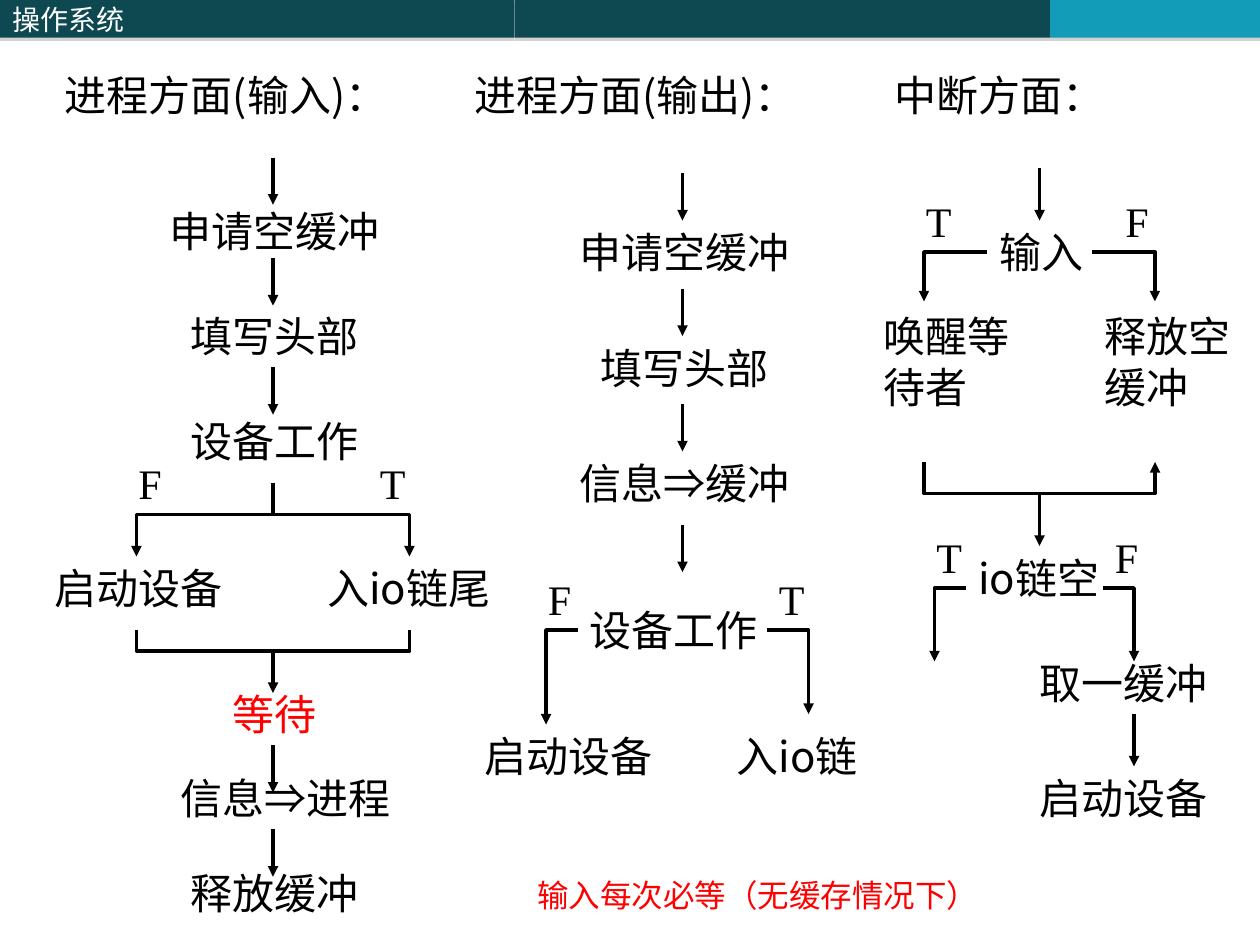
from lxml import etree
from pptx import Presentation
from pptx.dml.color import RGBColor
from pptx.enum.shapes import MSO_CONNECTOR, MSO_SHAPE
from pptx.enum.text import MSO_ANCHOR, MSO_AUTO_SIZE, PP_ALIGN
from pptx.oxml.ns import qn
from pptx.util import Cm, Pt

RECTANGLE = MSO_SHAPE.RECTANGLE
STRAIGHT = MSO_CONNECTOR.STRAIGHT
MIDDLE = MSO_ANCHOR.MIDDLE
GROW = MSO_AUTO_SIZE.SHAPE_TO_FIT_TEXT
LEFT = PP_ALIGN.LEFT

BLACK = RGBColor(0, 0, 0)
WHITE = RGBColor(0xFF, 0xFF, 0xFF)
RED = RGBColor(0xFF, 0, 0)
DARK_TEAL = RGBColor(0x0E, 0x48, 0x51)
BRIGHT_TEAL = RGBColor(0x13, 0x9C, 0xB7)

CHINESE = "Noto Sans CJK SC"
SYMBOL = "Arial"
SERIF = "Times New Roman"
IMPLIES = "⇒"
STEP = 4.5  # usual arrow length in grid units


def grid(units):
    """Twelve grid units make 2.54 cm; the slide is 120 by 90 units."""
    return Cm(units * 2.54 / 12)


def add_span(para, text, size, color, font):
    span = para.add_run()
    span.text = text
    span.font.size = Pt(size)
    span.font.color.rgb = color
    span.font.name = font
    east_asian = etree.SubElement(span.font._element, qn("a:ea"))
    east_asian.set("typeface", font)


def add_label(page, box, text, x, y, width, height=6, size=24, color=BLACK, font=CHINESE):
    left, top = box
    label = page.shapes.add_textbox(
        grid(left + x), grid(top + y), grid(width), grid(height))
    frame = label.text_frame
    frame.word_wrap = True
    frame.auto_size = GROW
    for part in filter(None, text.partition(IMPLIES)):
        add_span(frame.paragraphs[0], part, size, color,
                 SYMBOL if part == IMPLIES else font)


def add_branch_mark(page, box, text, x, y):
    add_label(page, box, text, x, y, 5, font=SERIF)


def style_line(shape, arrow):
    shape.line.color.rgb = BLACK
    shape.line.width = Pt(2)
    properties = shape._element.spPr
    if arrow:
        etree.SubElement(properties.find(qn("a:ln")), qn("a:tailEnd")).set("type", "triangle")
    etree.SubElement(properties, qn("a:effectLst"))


def add_arrow(page, box, x, y, length=STEP):
    left, top = box
    line = page.shapes.add_connector(
        STRAIGHT, grid(left + x), grid(top + y), grid(left + x), grid(top + y + length))
    style_line(line, arrow=True)


def add_bent_line(page, box, points, arrow=True):
    left, top = box
    start, *others = [(grid(left + x), grid(top + y)) for x, y in points]
    builder = page.shapes.build_freeform(*start)
    builder.add_line_segments(others, close=False)
    bent = builder.convert_to_shape()
    bent.fill.background()
    style_line(bent, arrow)


def add_header(page, box, title):
    left, top = box
    for x, width, color, text in [(0, 49, DARK_TEAL, title),
                                  (49, 51, DARK_TEAL, ""),
                                  (100, 20, BRIGHT_TEAL, "")]:
        bar = page.shapes.add_shape(
            RECTANGLE, grid(left + x), grid(top), grid(width), grid(3.6))
        bar.fill.solid()
        bar.fill.fore_color.rgb = color
        bar.line.fill.background()
        bar.shadow.inherit = False
        # Soft edge below the bar
        effects = bar._element.spPr.find(qn("a:effectLst"))
        shadow = etree.SubElement(effects, qn("a:outerShdw"), blurRad="0",
                                  dist=str(Pt(1.8)), dir="5400000", rotWithShape="0")
        tint = etree.SubElement(shadow, qn("a:srgbClr"), val="808080")
        etree.SubElement(tint, qn("a:alpha"), val="35000")
        if text:
            frame = bar.text_frame
            frame.vertical_anchor = MIDDLE
            frame.paragraphs[0].alignment = LEFT
            add_span(frame.paragraphs[0], text, 16, WHITE, CHINESE)


def add_input_flow(page, box):
    axis, left_arm, right_arm = 26, 13, 39
    # Steps
    for text, x, y, width in [("进程方面(输入)：", 5, 0, 35),
                              ("申请空缓冲", 15, 13, 24),
                              ("填写头部", 17, 23, 21),
                              ("设备工作", 17, 33, 20),
                              ("入io链尾", 30, 47, 20),
                              ("启动设备", 4, 47, 20),
                              ("信息⇒进程", 16, 67, 23),
                              ("释放缓冲", 17, 76, 19)]:
        add_label(page, box, text, x, y, width)
    add_label(page, box, "等待", 21, 59, 13, color=RED)
    # Arrows
    for y in (9, 18.6, 29, 65, 73):
        add_arrow(page, box, axis, y)
    add_arrow(page, box, axis, 56, 4)
    # Branch and join
    for arm in (right_arm, left_arm):
        add_bent_line(page, box, [(axis, 40), (axis, 43), (arm, 43), (arm, 47)])
    add_bent_line(page, box, [(left_arm, 54), (left_arm, 56),
                              (right_arm, 56), (right_arm, 54)], arrow=False)
    add_branch_mark(page, box, "F", 12, 37)
    add_branch_mark(page, box, "T", 35, 37)


def add_output_flow(page, box):
    # Steps
    for text, x, y, width in [("进程方面(输出)：", 4, 0, 35),
                              ("申请空缓冲", 14, 15, 24),
                              ("填写头部", 16, 26, 20),
                              ("信息⇒缓冲", 14, 37, 23),
                              ("设备工作", 15, 51, 20),
                              ("启动设备", 5, 63, 20)]:
        add_label(page, box, text, x, y, width)
    add_label(page, box, "入io链", 29, 63, 15, height=10.8)
    # Arrows
    for y in (10.5, 21.5, 32.5, 44):
        add_arrow(page, box, 25, y)
    # Branch
    add_bent_line(page, box, [(15, 54), (12, 54), (12, 63)])
    add_bent_line(page, box, [(33, 54), (37, 54), (37, 62)])
    add_branch_mark(page, box, "F", 11, 48)
    add_branch_mark(page, box, "T", 33, 48)


def add_interrupt_flow(page, box):
    axis, left_arm, right_arm = 19, 8, 30
    # Steps
    for text, x, y, width in [("中断方面：", 4, 0, 21),
                              ("输入", 14, 15, 11),
                              ("io链空", 12, 46, 16),
                              ("取一缓冲", 17.8, 56, 20),
                              ("启动设备", 17.8, 67, 19)]:
        add_label(page, box, text, x, y, width)
    for text, x in [("唤醒等待者", 3), ("释放空缓冲", 24)]:
        add_label(page, box, text, x, 23, 14.8, height=10.8)
    # Arrows
    for x, y in [(axis, 10), (axis, 41), (28, 62)]:
        add_arrow(page, box, x, y, 5)
    # Branches and the join between them
    for points in [[(24, 18), (right_arm, 18), (right_arm, 22.7)],
                   [(14, 18), (left_arm, 18), (left_arm, 22.7)],
                   [(left_arm, 38), (left_arm, 41), (right_arm, 41), (right_arm, 38)],
                   [(25, 50), (28, 50), (28, 57)],
                   [(12, 50), (9, 50), (9, 57)]]:
        add_bent_line(page, box, points)
    for text, x, y in [("F", 26, 12), ("T", 7, 12), ("F", 25, 44), ("T", 8, 44)]:
        add_branch_mark(page, box, text, x, y)


def main():
    deck = Presentation()
    deck.slide_width, deck.slide_height = Cm(25.4), Cm(19.05)
    page = deck.slides.add_slide(deck.slide_layouts[6])
    add_header(page, (0, 0), "操作系统")
    add_input_flow(page, (0, 6))
    add_output_flow(page, (40, 6))
    add_interrupt_flow(page, (80, 6))
    # Closing note
    add_label(page, (50, 82.8), "输入每次必等（无缓存情况下）", 0, 0, 65.3,
              height=4.8, size=18, color=RED)
    deck.save("out.pptx")


if __name__ == "__main__":
    main()
